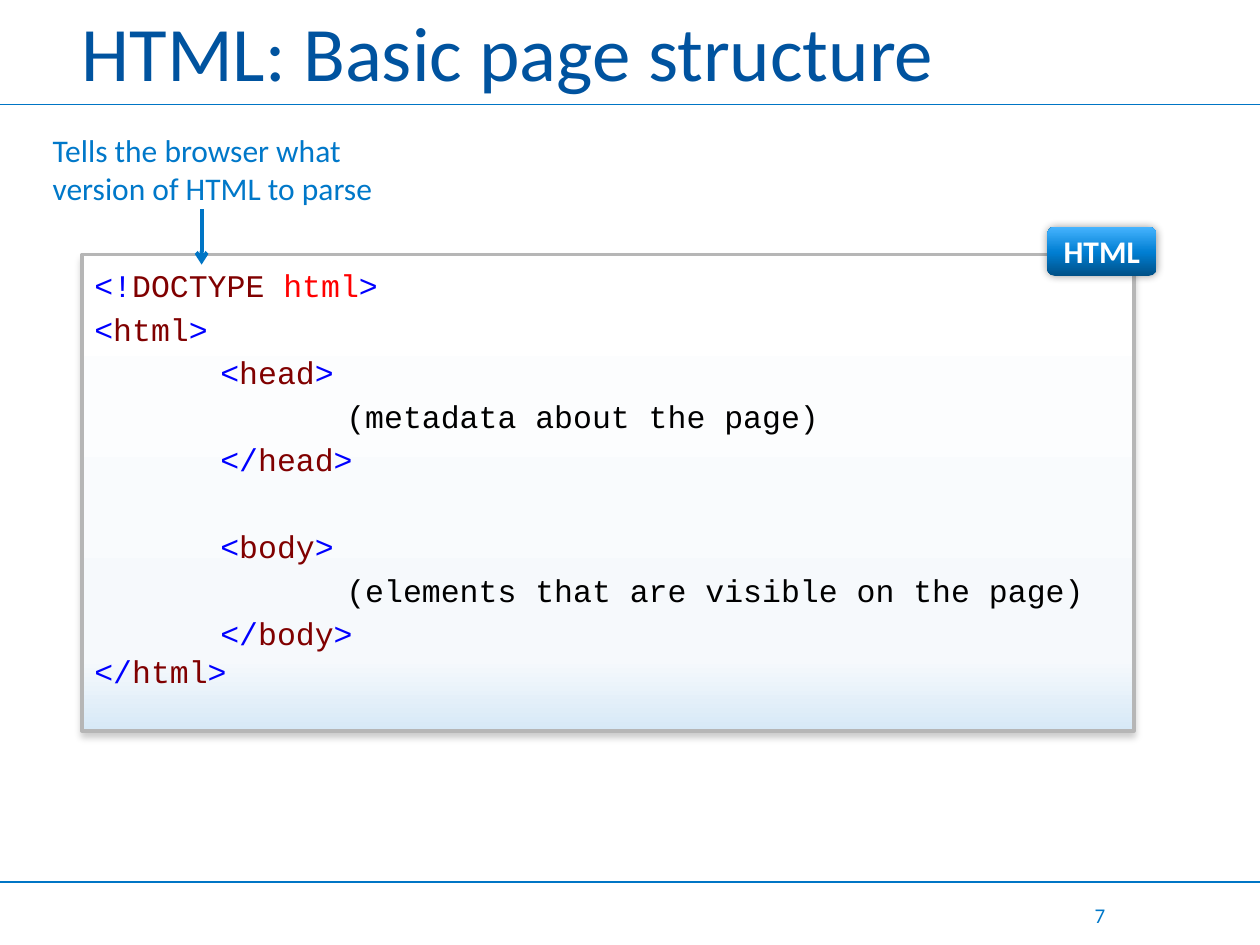
from dataclasses import dataclass

from lxml.etree import SubElement
from pptx import Presentation
from pptx.dml.color import RGBColor
from pptx.enum.shapes import MSO_CONNECTOR, MSO_SHAPE
from pptx.enum.text import MSO_ANCHOR, PP_ALIGN
from pptx.oxml.ns import qn
from pptx.util import Inches, Pt


@dataclass(frozen=True)
class Theme:
    body: str = "Calibri"
    mono: str = "Courier New"
    title: str = "00539F"
    rule: str = "0075C5"
    accent: str = "0078C9"
    border: str = "B6B6B6"
    white: str = "FFFFFF"
    black: str = "000000"
    bracket: str = "0000FF"
    tag: str = "800000"
    attribute: str = "FF0000"
    panel_stops: tuple = ((0, "FFFFFF"), (85, "F6F9FC"), (100, "D7E9F7"))
    badge_stops: tuple = ((0, "005087"), (48, "007ED2"), (100, "46B4FF"))
    title_size: int = 44
    text_size: int = 18
    small_size: int = 12


class SlideBuilder:
    def __init__(self, slide, theme):
        self.s = slide
        self.t = theme

    def run(self, p, text, color, size=None, font=None, bold=False):
        r = p.add_run()
        r.text = text
        r.font.name = font or self.t.body
        r.font.size = Pt(size or self.t.text_size)
        r.font.bold = bold
        r.font.color.rgb = RGBColor.from_string(color)

    def text(self, box, text, color, size=None, align=PP_ALIGN.LEFT,
             anchor=MSO_ANCHOR.MIDDLE):
        tf = self.s.shapes.add_textbox(*map(Inches, box)).text_frame
        tf.word_wrap = True
        tf.vertical_anchor = anchor
        p = tf.paragraphs[0]
        p.alignment = align
        self.run(p, text, color, size)

    def line(self, start, end, width, arrow=False):
        c = self.s.shapes.add_connector(
            MSO_CONNECTOR.STRAIGHT, *map(Inches, start + end))
        c.line.color.rgb = RGBColor.from_string(self.t.rule)
        c.line.width = Pt(width)
        if arrow:
            SubElement(c.line._get_or_add_ln(), qn("a:tailEnd"), type="arrow")
        SubElement(c._element.spPr, qn("a:effectLst"))

    def gradient_shape(self, kind, box, stops, angle, shadow):
        sp = self.s.shapes.add_shape(kind, *map(Inches, box))
        sp.line.fill.background()
        sp.shadow.inherit = False
        spPr = sp._element.spPr

        # Gradient stops
        sp.fill.gradient()
        grad = spPr.find(qn("a:gradFill"))
        gs_list = grad.find(qn("a:gsLst"))
        for gs in list(gs_list):
            gs_list.remove(gs)
        for pos, color in stops:
            gs = SubElement(gs_list, qn("a:gs"), pos=str(pos * 1000))
            SubElement(gs, qn("a:srgbClr"), val=color)
        grad.find(qn("a:lin")).set("ang", str(angle * 60000))

        # Outer shadow
        alpha, blur, dist, direction = shadow
        outer = SubElement(
            spPr.find(qn("a:effectLst")), qn("a:outerShdw"),
            blurRad=str(Pt(blur)), dist=str(Pt(dist)),
            dir=str(direction * 60000), rotWithShape="0")
        clr = SubElement(outer, qn("a:srgbClr"), val=self.t.black)
        SubElement(clr, qn("a:alpha"), val=str(alpha * 1000))
        return sp

    def code_panel(self, box, lines):
        sp = self.gradient_shape(MSO_SHAPE.RECTANGLE, box,
                                 self.t.panel_stops, 90, (20, 4, 3, 90))
        sp.line.color.rgb = RGBColor.from_string(self.t.border)
        sp.line.width = Pt(2)
        tf = sp.text_frame
        tf.word_wrap = True
        tf.vertical_anchor = MSO_ANCHOR.TOP
        for i, (indent, gap, parts) in enumerate(lines):
            p = tf.add_paragraph() if i else tf.paragraphs[0]
            p.alignment = PP_ALIGN.LEFT
            p.line_spacing = 1.15 if i < len(lines) - 1 else 1.0
            p.space_before = Pt(gap)
            p._p.get_or_add_pPr().set("marL", str(Inches(indent)))
            for text, color in parts:
                self.run(p, text, color, font=self.t.mono)

    def badge(self, box, text):
        sp = self.gradient_shape(MSO_SHAPE.ROUNDED_RECTANGLE, box,
                                 self.t.badge_stops, 270, (40, 5, 0, 0))
        tf = sp.text_frame
        tf.vertical_anchor = MSO_ANCHOR.MIDDLE
        p = tf.paragraphs[0]
        p.alignment = PP_ALIGN.CENTER
        self.run(p, text, self.t.white, bold=True)


def main():
    prs = Presentation()
    prs.slide_width, prs.slide_height = Inches(10), Inches(7.5)
    t = Theme()
    b = SlideBuilder(prs.slides.add_slide(prs.slide_layouts[6]), t)

    # Rules, title and page number
    for y in (0.83, 7):
        b.line((0, y), (10, y), 0.75)
    b.text((0.55, 0.08, 9, 0.64), "HTML: Basic page structure",
           t.title, t.title_size)
    b.text((8.2, 7.15, 0.67, 0.23), "7", t.accent, t.small_size,
           PP_ALIGN.RIGHT)

    # Code lines: indent in inches, gap above in points, coloured parts
    def tag(name, indent=0, opening="<", gap=0):
        return indent, gap, [(opening, t.bracket), (name, t.tag),
                             (">", t.bracket)]

    def section(name, content, gap=0):
        return [tag(name, 1, gap=gap),
                (2, 0, [(content, t.black)]),
                tag(name, 1, "</")]

    doctype = (0, 0, [("<!", t.bracket), ("DOCTYPE\u00a0", t.tag),
                      ("html", t.attribute), (">", t.bracket)])
    b.code_panel((0.65, 2.02, 8.35, 3.78), [
        doctype,
        tag("html"),
        *section("head", "(metadata about the page)"),
        *section("body", "(elements that are visible on the page)", gap=24.8),
        tag("html", opening="</"),
    ])

    # Callout and badge
    b.line((1.6, 1.66), (1.6, 2.1), 2.25, arrow=True)
    b.text((0.32, 0.99, 3.1, 0.71),
           "Tells the browser what version of HTML to parse",
           t.accent, anchor=MSO_ANCHOR.TOP)
    b.badge((8.31, 1.8, 0.87, 0.39), "HTML")

    prs.save("out.pptx")


if __name__ == "__main__":
    main()
